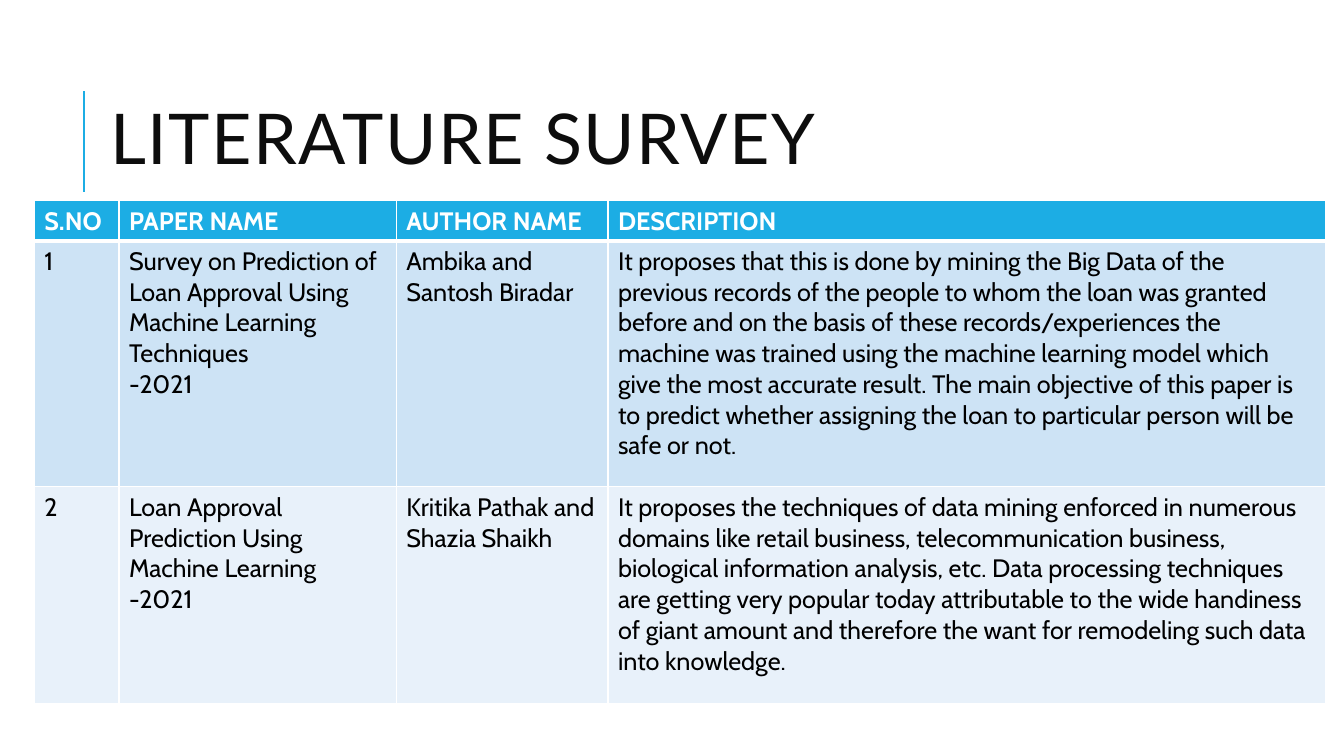
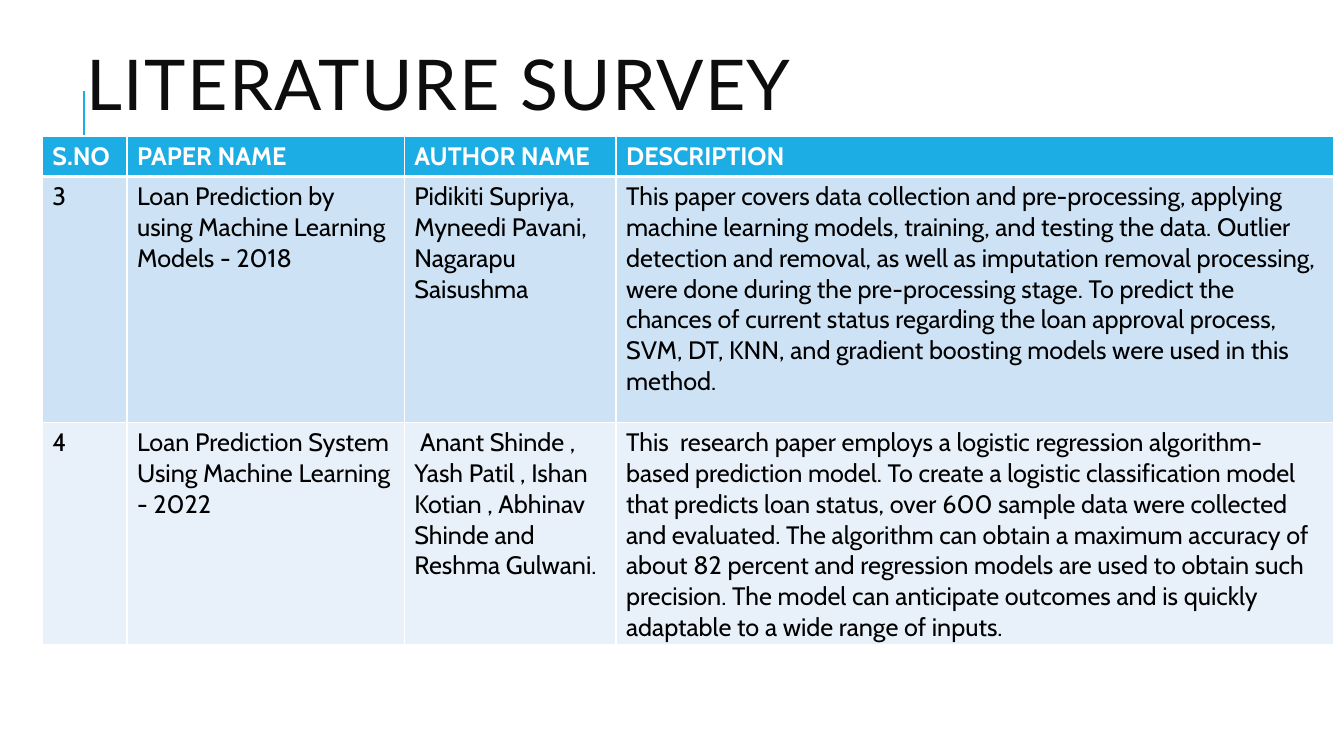
"""Build the two literature survey slides."""
from dataclasses import dataclass

from pptx import Presentation
from pptx.dml.color import RGBColor as Rgb
from pptx.enum.shapes import MSO_CONNECTOR as Connector
from pptx.enum.text import MSO_ANCHOR as Anchor
from pptx.oxml.ns import qn
from pptx.util import Inches, Pt
from lxml.etree import SubElement


@dataclass(frozen=True)
class Theme:
    """Colours, fonts and sizes shared by the slides."""
    accent: str = "1CADE4"
    title_color: str = "0D0D0D"
    text_color: str = "000000"
    white: str = "FFFFFF"
    bands: tuple = ("CDE3F5", "E8F1FA")
    title_font: str = "Lato"
    body_font: str = "Cabin"
    title_size: int = 50
    body_size: int = 18
    rule_width: float = 1.5
    border: int = 1
    header_border: int = 3


THEME = Theme()
TITLE = "LITERATURE SURVEY"
HEADERS = ("S.NO", "PAPER NAME", "AUTHOR NAME", "DESCRIPTION")
COLUMN_WIDTHS = (0.84, 2.75, 2.1, 7.12)
ROW_HEIGHTS = (0.4, 2.44, 2.15)

# Each survey: title position, table position, papers.
SURVEYS = (
    ((1, 0.61), (0.34, 1.99), (
        ("1",
         "Survey on Prediction of Loan Approval Using Machine Learning "
         "Techniques\n-2021",
         "Ambika and Santosh Biradar ",
         "It proposes that this is done by mining the Big Data of the previous "
         "records of the people to whom the loan was granted before and on the "
         "basis of these records/experiences the machine was trained using the "
         "machine learning model which give the most accurate result. The main "
         "objective of this paper is to predict whether assigning the loan to "
         "particular person will be safe or not."),
        ("2",
         "Loan Approval Prediction Using Machine Learning\n-2021",
         "Kritika Pathak and Shazia Shaikh ",
         "It proposes the techniques of data mining enforced in numerous "
         "domains like retail business, telecommunication business, biological "
         "information analysis, etc. Data processing techniques are getting "
         "very popular today attributable to the wide handiness of giant "
         "amount and therefore the want for remodeling such data into "
         "knowledge. "),
    )),
    ((0.76, 0.08), (0.42, 1.35), (
        ("3",
         "Loan Prediction by using Machine Learning Models - 2018",
         "Pidikiti Supriya, Myneedi Pavani, Nagarapu Saisushma ",
         "This paper covers data collection and pre-processing, applying "
         "machine learning models, training, and testing the data. Outlier "
         "detection and removal, as well as imputation removal processing, "
         "were done during the pre-processing stage. To predict the chances of "
         "current status regarding the loan approval process, SVM, DT, KNN, "
         "and gradient boosting models were used in this method. "),
        ("4",
         "Loan Prediction System Using Machine Learning\n- 2022",
         " Anant Shinde , Yash Patil , Ishan Kotian , Abhinav Shinde and "
         "Reshma Gulwani.",
         "This  research paper employs a logistic regression algorithm-based "
         "prediction model. To create a logistic classification model that "
         "predicts loan status, over 600 sample data were collected and "
         "evaluated. The algorithm can obtain a maximum accuracy of about 82 "
         "percent and regression models are used to obtain such precision. The "
         "model can anticipate outcomes and is quickly adaptable to a wide "
         "range of inputs. "),
    )),
)


def style_font(font, color, **values):
    """Set a font's colour and its other format values."""
    font.color.rgb = Rgb.from_string(color)
    for name, value in values.items():
        setattr(font, name, value)


def add_rule(slide):
    """Draw the vertical accent line beside the title."""
    rule = slide.shapes.add_connector(
        Connector.STRAIGHT, Inches(0.83), Inches(1.9), Inches(0.83), Inches(0.9))
    rule.line.color.rgb = Rgb.from_string(THEME.accent)
    rule.line.width = Pt(THEME.rule_width)
    SubElement(rule.element.spPr, qn("a:effectLst"))


def add_title(slide, left, top):
    """Add the letter-spaced slide title."""
    box = slide.shapes.add_textbox(
        Inches(left), Inches(top), Inches(10.63), Inches(1.64))
    frame = box.text_frame
    frame.word_wrap = True
    frame.vertical_anchor = Anchor.MIDDLE
    paragraph = frame.paragraphs[0]
    paragraph.line_spacing = 0.8
    run = paragraph.add_run()
    run.text = TITLE
    style_font(run.font, THEME.title_color, name=THEME.title_font,
               size=Pt(THEME.title_size))
    run.font._element.set("spc", "100")


def set_borders(cell, top, bottom):
    """Give a cell white borders with the given top and bottom widths."""
    properties = cell._tc.get_or_add_tcPr()
    widths = {"L": THEME.border, "R": THEME.border, "T": top, "B": bottom}
    for side, width in widths.items():
        line = SubElement(properties, qn(f"a:ln{side}"), w=str(Pt(width)))
        fill = SubElement(line, qn("a:solidFill"))
        SubElement(fill, qn("a:srgbClr"), val=THEME.white)


def fill_cell(cell, text, row):
    """Write a cell and format it as header or banded body."""
    header = row == 0
    set_borders(cell,
                top=THEME.header_border if row == 1 else THEME.border,
                bottom=THEME.header_border if header else THEME.border)
    background = THEME.accent if header else THEME.bands[(row - 1) % 2]
    cell.fill.solid()
    cell.fill.fore_color.rgb = Rgb.from_string(background)
    cell.text = text
    for paragraph in cell.text_frame.paragraphs:
        for run in paragraph.runs:
            style_font(run.font, THEME.white if header else THEME.text_color,
                       name=THEME.body_font, size=Pt(THEME.body_size),
                       bold=header)


def add_survey_table(slide, left, top, papers):
    """Add the table of papers under its header row."""
    rows = (HEADERS, *papers)
    table = slide.shapes.add_table(
        len(rows), len(HEADERS), Inches(left), Inches(top),
        Inches(sum(COLUMN_WIDTHS)), Inches(sum(ROW_HEIGHTS))).table
    for column, width in zip(table.columns, COLUMN_WIDTHS):
        column.width = Inches(width)
    for row, height in zip(table.rows, ROW_HEIGHTS):
        row.height = Inches(height)
    for row_index, texts in enumerate(rows):
        for column_index, text in enumerate(texts):
            fill_cell(table.cell(row_index, column_index), text, row_index)


def main():
    """Build and save the presentation."""
    presentation = Presentation()
    presentation.slide_width = Inches(13.33)
    presentation.slide_height = Inches(7.5)
    blank = presentation.slide_layouts[6]
    for title_position, table_position, papers in SURVEYS:
        slide = presentation.slides.add_slide(blank)
        add_rule(slide)
        add_title(slide, *title_position)
        add_survey_table(slide, *table_position, papers)
    presentation.save("out.pptx")


main()
